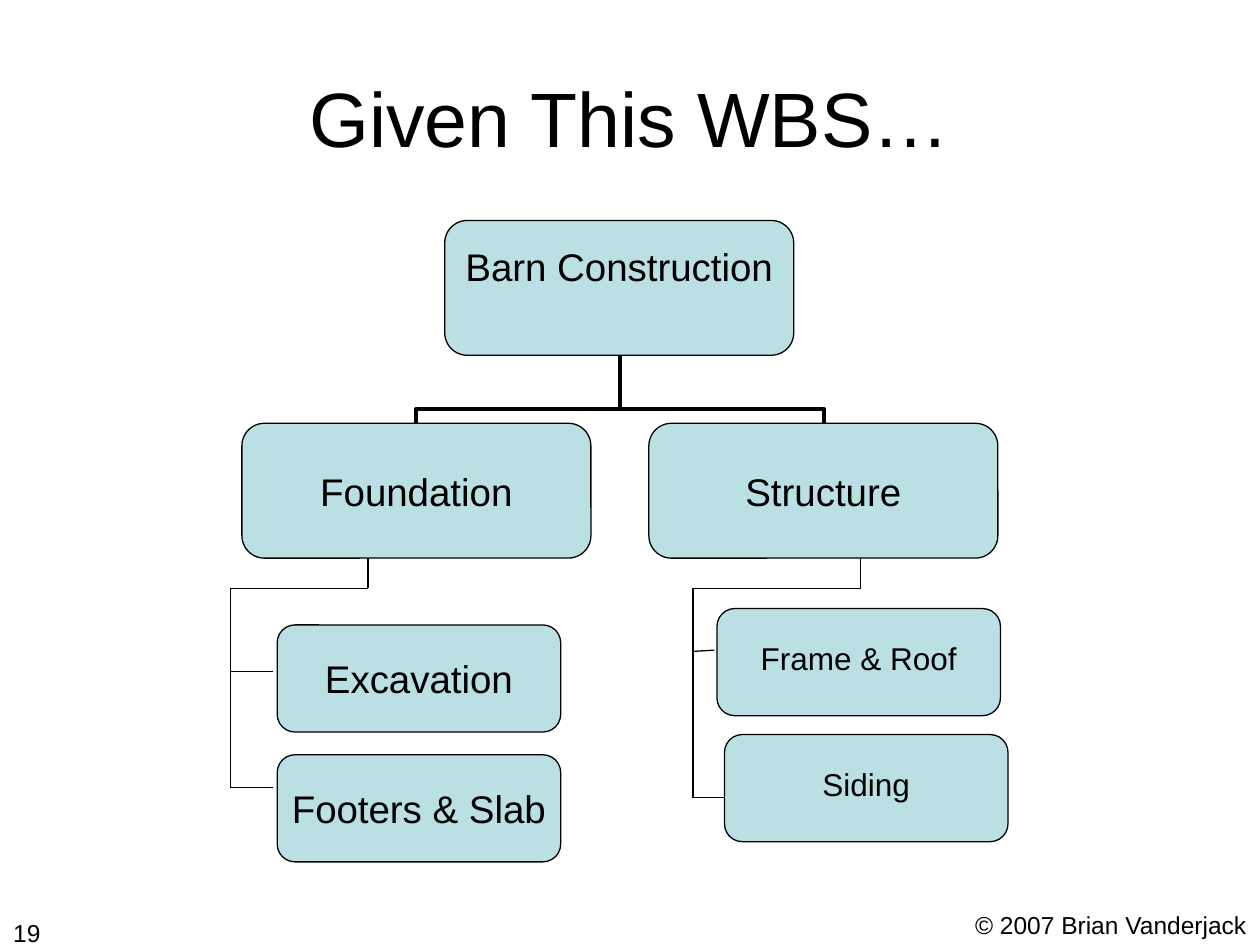
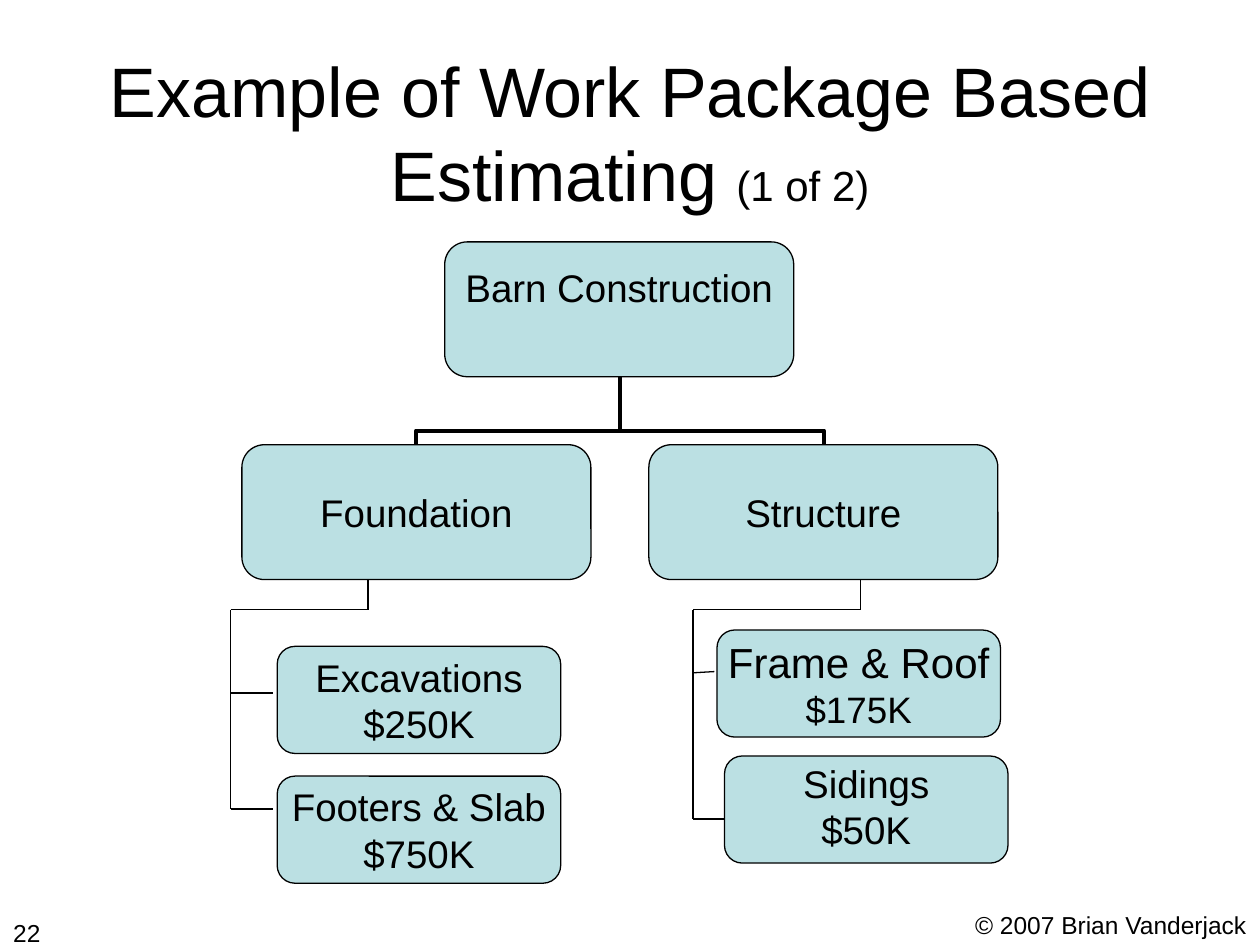
from pptx import Presentation
from pptx.dml.color import RGBColor
from pptx.enum.shapes import MSO_CONNECTOR as CONN, MSO_SHAPE as SHAPE
from pptx.enum.text import MSO_ANCHOR as ANCHOR, MSO_AUTO_SIZE as AUTO, PP_ALIGN as ALIGN
from pptx.util import Inches, Pt
from lxml import etree

COLORS = {"ink": "000000", "box": "BBE0E3", "page": "FFFFFF"}
A = "{http://schemas.openxmlformats.org/drawingml/2006/main}"
INK = RGBColor.from_string(COLORS["ink"])

slides = [
    {"number": "19", "shift": 0, "title_top": 0.3,
     "title": [("Given This WBS…", 44)],
     "packages": [[("Excavation", 22)], [("Footers & Slab", 22)],
                  [("Frame & Roof", 18)], [("Siding", 18)]],
     "insets": [0, 0, 0.06, 0.06]},
    {"number": "22", "shift": 0.17, "title_top": 0.42,
     "title": [("Example of Work Package Based Estimating ", 40), ("(1 of 2)", 24)],
     "packages": [[("Excavations", 22), ("$250K", 22)],
                  [("Footers & Slab", 22), ("$750K", 22)],
                  [("Frame & Roof", 24), ("$175K", 21)],
                  [("Sidings", 22), ("$50K", 22)]],
     "insets": [0, 0, 0, 0.06]},
]

package_spots = [(2.2, 4.96), (2.2, 5.99), (5.69, 4.83), (5.75, 5.83)]
branch_lines = [
    (1.83, 4.67, 1.83, 6.25), (2.92, 4.43, 2.92, 4.67), (1.83, 4.67, 2.92, 4.67),
    (1.83, 5.33, 2.17, 5.33), (1.83, 6.25, 2.17, 6.25),
    (5.5, 4.67, 5.5, 6.33), (6.83, 4.43, 6.83, 4.67), (5.5, 4.67, 6.83, 4.67),
    (5.5, 5.17, 5.67, 5.16), (5.5, 6.33, 5.75, 6.33),
]
elbows = [(5.46, 6.0, 5.46, "5400000"), (3.84, 3.84, 4.38, "16200000")]


def write(p, text, size, align):
    p.alignment = align
    r = p.add_run()
    r.text = text
    r.font.name = "Arial"
    r.font.size = Pt(size)
    r.font.color.rgb = INK


def connect(s, kind, x1, y1, x2, y2, width):
    line = s.shapes.add_connector(kind, Inches(x1), Inches(y1), Inches(x2), Inches(y2))
    line.line.color.rgb = INK
    line.line.width = Pt(width)
    etree.SubElement(line._element.spPr, A + "effectLst")
    return line


prs = Presentation()
prs.slide_width = Inches(10)
prs.slide_height = Inches(7.5)
fill = prs.slide_master.background.fill
fill.solid()
fill.fore_color.rgb = RGBColor.from_string(COLORS["page"])

for content in slides:
    s = prs.slides.add_slide(prs.slide_layouts[5])
    dy = content["shift"]

    title = s.shapes.title
    title.left, title.top = Inches(0.5), Inches(content["title_top"])
    title.width, title.height = Inches(9), Inches(1.25)
    tf = title.text_frame
    tf.auto_size = AUTO.NONE
    tf.vertical_anchor = ANCHOR.MIDDLE
    for text, size in content["title"]:
        write(tf.paragraphs[0], text, size, ALIGN.CENTER)

    footers = [("© 2007 Brian Vanderjack", 7.64, 7.17, 2.36, 0.33, False, ALIGN.LEFT),
               (content["number"], -0.25, 7.24, 0.67, 0.52, True, ALIGN.RIGHT)]
    for text, x, y, w, h, wrap, align in footers:
        tf = s.shapes.add_textbox(Inches(x), Inches(y), Inches(w), Inches(h)).text_frame
        tf.word_wrap = wrap
        write(tf.paragraphs[0], text, 14, align)

    for x1, x2, left, rotation in elbows:
        end = x2 if x2 != x1 else x1 + 0.54
        begin, end = (x2, x1) if left == x1 and x2 != x1 else (x1, end)
        elbow = connect(s, CONN.ELBOW, begin, 2.28 + dy, end, 3.9 + dy, 2.25)
        elbow._element.spPr.find(A + "xfrm").set("rot", rotation)
        geometry = elbow._element.spPr.find(A + "prstGeom")
        guides = geometry.find(A + "avLst")
        if guides is None:
            guides = etree.SubElement(geometry, A + "avLst")
        etree.SubElement(guides, A + "gd", name="adj1", fmla="val 20800")

    for x1, y1, x2, y2 in branch_lines:
        connect(s, CONN.STRAIGHT, x1, y1 + dy, x2, y2 + dy, 0.75)

    boxes = [([("Barn Construction", 22)], 3.53, 1.75, 2.77, 1.07, 0.35),
             ([("Foundation", 22)], 1.92, 3.36, 2.77, 1.07, 0),
             ([("Structure", 22)], 5.15, 3.36, 2.77, 1.07, 0)]
    for lines, (x, y), inset in zip(content["packages"], package_spots, content["insets"]):
        boxes.append((lines, x, y, 2.25, 0.85, inset))

    for lines, x, y, w, h, inset in boxes:
        sp = s.shapes.add_shape(SHAPE.ROUNDED_RECTANGLE, Inches(x), Inches(y + dy),
                                Inches(w), Inches(h))
        sp.shadow.inherit = False
        sp.fill.solid()
        sp.fill.fore_color.rgb = RGBColor.from_string(COLORS["box"])
        sp.line.color.rgb = INK
        sp.line.width = Pt(0.75)
        tf = sp.text_frame
        tf.word_wrap = False
        tf.vertical_anchor = ANCHOR.MIDDLE
        tf.margin_left = tf.margin_right = tf.margin_top = 0
        tf.margin_bottom = Inches(inset)
        for i, (text, size) in enumerate(lines):
            p = tf.paragraphs[0] if i == 0 else tf.add_paragraph()
            write(p, text, size, ALIGN.CENTER)

prs.save("out.pptx")
